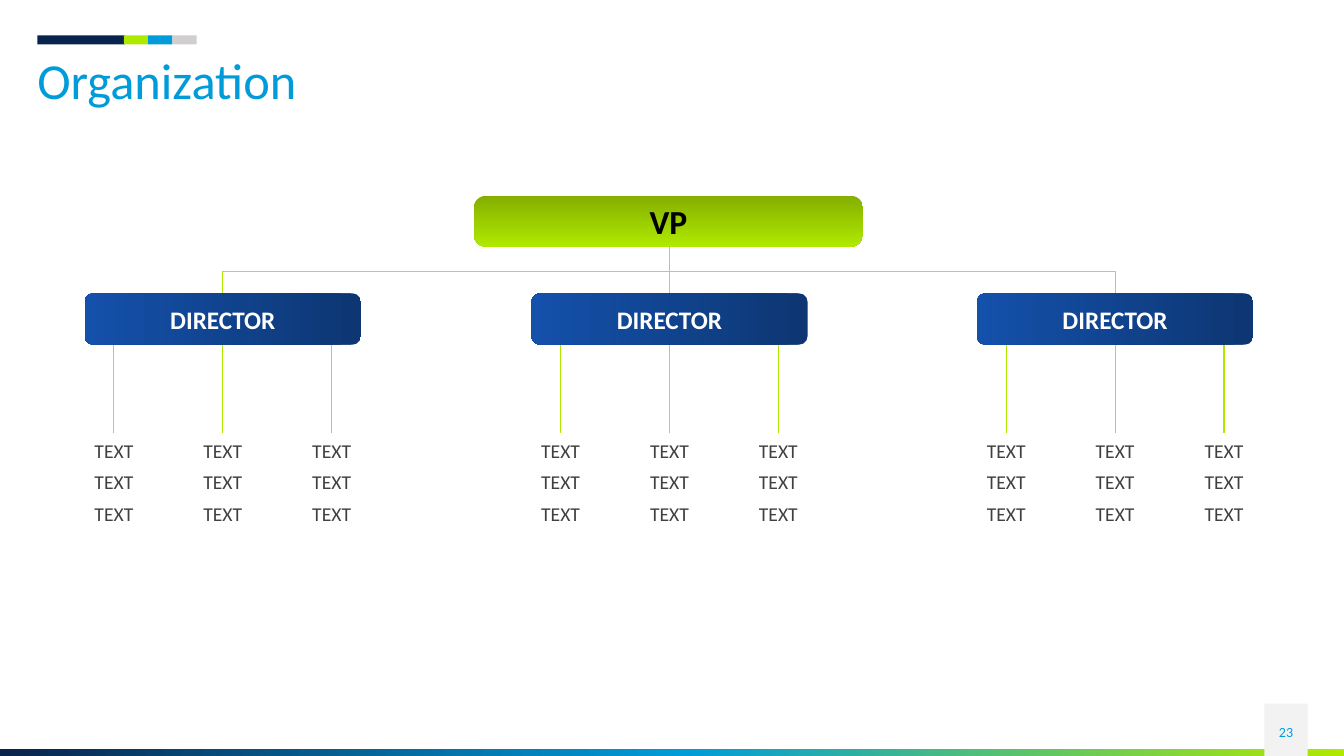
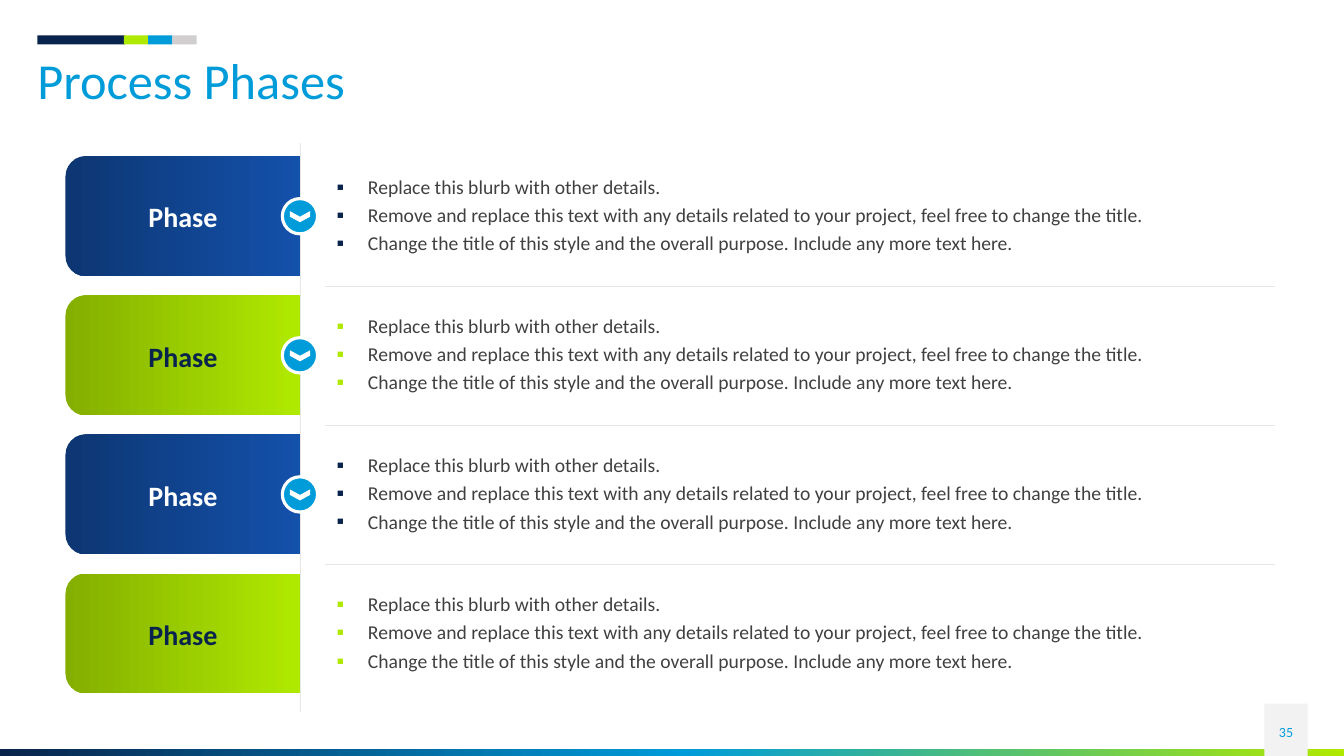
"""Build an organization chart slide and a process phases slide."""
from copy import deepcopy
from dataclasses import dataclass

from lxml import etree
from pptx import Presentation
from pptx import util as u
from pptx.dml.color import RGBColor
from pptx.enum import shapes, text
from pptx.oxml import ns

FONT = "Calibri"
NAVY, LIME, SKY, GRAY = "09244C", "B0E900", "009CDA", "D0CECE"
WHITE, BLACK, BODY, RULE, PALE = "FFFFFF", "000000", "404040", "E7E6E6", "F2F2F2"
BLUE_FADE = ((0, "0D3672"), (1, "1451AB"))
LIME_FADE = ((0, "84AF00"), (1, LIME))
FOOTER_FADE = ((0, NAVY), (0.51, SKY), (1, LIME))
KIND = shapes.MSO_SHAPE
LEFT, CENTER = text.PP_ALIGN.LEFT, text.PP_ALIGN.CENTER
TOP, MIDDLE = text.MSO_ANCHOR.TOP, text.MSO_ANCHOR.MIDDLE


@dataclass(frozen=True)
class Box:
    """A rectangle in inches."""
    left: float
    top: float
    width: float
    height: float

    def lengths(self) -> list:
        """Return the four sides as lengths."""
        return [u.Inches(side) for side in (self.left, self.top, self.width, self.height)]


@dataclass(frozen=True)
class Style:
    """The look of one block of text."""
    size: float
    color: str
    bold: bool = False
    align: int = CENTER
    anchor: int = MIDDLE
    inset: tuple = (0, 0)
    line: float = 1.0
    before: float = 0
    after: float = 0
    wrap: bool = True


@dataclass(frozen=True)
class Phase:
    """The colours of one process phase."""
    fade: tuple
    label: str
    bullet: str


TITLE = Style(36, SKY, align=LEFT, anchor=TOP, line=0.9)
PAGE_NUMBER = Style(10, SKY, inset=(0.1, 0.05))
VP = Style(24, BLACK, bold=True)
DIRECTOR = Style(18, WHITE, bold=True, inset=(0.12, 0.08))
MEMBERS = Style(14, BODY, anchor=TOP, inset=(0.1, 0.05), after=6)
DETAILS = Style(14, BODY, align=LEFT, inset=(0.12, 0.08), line=0.9, before=2, after=3)

ACCENTS = ((0.37, 0.87, NAVY), (1.23, 0.24, LIME), (1.47, 0.24, SKY), (1.71, 0.24, GRAY))
DIRECTOR_CENTERS = (2.21, 6.64, 11.06)
MEMBER_STEP = 1.08
BLUE_PHASE = Phase(BLUE_FADE, WHITE, NAVY)
LIME_PHASE = Phase(LIME_FADE, NAVY, LIME)
PHASES = (BLUE_PHASE, LIME_PHASE, BLUE_PHASE, LIME_PHASE)
PHASE_TOP, PHASE_STEP, PHASE_HEIGHT = 1.55, 1.38, 1.19
BLURB = "\n".join((
    "Replace this blurb with other details.",
    "Remove and replace this text with any details related to your project, "
    "feel free to change the title.",
    "Change the title of this style and the overall purpose. Include any more text here.",
))


def rgb(color: str) -> RGBColor:
    """Turn a hex string into a colour."""
    return RGBColor.from_string(color)


def write(text_frame, words: str, style: Style) -> None:
    """Fill a text frame with words in one style."""
    text_frame.text = words
    text_frame.word_wrap = style.wrap
    text_frame.vertical_anchor = style.anchor
    across, down = (u.Inches(inset) for inset in style.inset)
    text_frame.margin_left = text_frame.margin_right = across
    text_frame.margin_top = text_frame.margin_bottom = down
    for paragraph in text_frame.paragraphs:
        paragraph.alignment = style.align
        paragraph.line_spacing = style.line
        paragraph.space_before = u.Pt(style.before)
        paragraph.space_after = u.Pt(style.after)
        for run in paragraph.runs:
            run.font.name = FONT
            run.font.size = u.Pt(style.size)
            run.font.bold = style.bold
            run.font.color.rgb = rgb(style.color)


def add_text(slide, box: Box, words: str, style: Style):
    """Add a text box and return its text frame."""
    text_frame = slide.shapes.add_textbox(*box.lengths()).text_frame
    write(text_frame, words, style)
    return text_frame


def add_bullets(text_frame, color: str) -> None:
    """Give every paragraph a small square bullet."""
    indent = u.Inches(0.31)
    for paragraph in text_frame.paragraphs:
        properties = paragraph._p.get_or_add_pPr()
        properties.set("marL", str(indent))
        properties.set("indent", str(-indent))
        bullet_color = etree.SubElement(properties, ns.qn("a:buClr"))
        etree.SubElement(bullet_color, ns.qn("a:srgbClr"), val=color)
        etree.SubElement(properties, ns.qn("a:buSzPct"), val="110000")
        etree.SubElement(properties, ns.qn("a:buFont"), typeface="Arial")
        etree.SubElement(properties, ns.qn("a:buChar"), char="▪")


def add_shape(slide, kind: KIND, box: Box, color: str = WHITE, rotation: float = 0):
    """Add a flat preset shape without an outline."""
    shape = slide.shapes.add_shape(kind, *box.lengths())
    shape.shadow.inherit = False
    shape.rotation = rotation
    shape.fill.solid()
    shape.fill.fore_color.rgb = rgb(color)
    shape.line.fill.background()
    return shape


def fade(shape, stops: tuple, clockwise: float = 0) -> None:
    """Fill a shape with a linear gradient."""
    shape.fill.gradient()
    shape.fill.gradient_angle = (360 - clockwise) % 360
    stop_list = shape.element.spPr.find(".//" + ns.qn("a:gsLst"))
    while len(stop_list) < len(stops):
        stop_list.append(deepcopy(stop_list[0]))
    for gradient_stop, (position, color) in zip(shape.fill.gradient_stops, stops):
        gradient_stop.position = position
        gradient_stop.color.rgb = rgb(color)


def add_line(slide, start: tuple, end: tuple, color: str, width: float,
             kind: shapes.MSO_CONNECTOR = shapes.MSO_CONNECTOR.STRAIGHT):
    """Add a connector without a shadow."""
    ends = (u.Inches(length) for length in (*start, *end))
    connector = slide.shapes.add_connector(kind, *ends)
    connector.line.color.rgb = rgb(color)
    connector.line.width = u.Pt(width)
    etree.SubElement(connector.element.spPr, ns.qn("a:effectLst"))
    return connector


def add_branch(slide, start: tuple, end: tuple) -> None:
    """Add an elbow that runs down, across and down again."""
    across, down = end[0] - start[0], end[1] - start[1]
    middle_x, middle_y = (start[0] + end[0]) / 2, (start[1] + end[1]) / 2
    side = down / 2 if across > 0 else -down / 2
    connector = add_line(slide, (middle_x + side, middle_y - abs(across) / 2),
                         (middle_x - side, middle_y + abs(across) / 2),
                         LIME, 0.75, shapes.MSO_CONNECTOR.ELBOW)
    turn = 270 if across > 0 else 90
    connector.element.spPr.find(ns.qn("a:xfrm")).set("rot", str(turn * 60000))


def add_slide(presentation, title: str, number: int):
    """Add a slide with the shared bands, title and page number."""
    slide = presentation.slides.add_slide(presentation.slide_layouts[6])
    fade(add_shape(slide, KIND.RECTANGLE, Box(0, 7.43, 13.33, 0.07)), FOOTER_FADE)
    add_shape(slide, KIND.RECTANGLE, Box(12.54, 6.98, 0.43, 0.52), PALE)
    for left, width, color in ACCENTS:
        add_shape(slide, KIND.RECTANGLE, Box(left, 0.35, width, 0.09), color)
    add_text(slide, Box(0.37, 0.56, 12.6, 0.55), title, TITLE)
    add_text(slide, Box(12.54, 7.06, 0.43, 0.4), str(number), PAGE_NUMBER)
    return slide


def build_organization(presentation) -> None:
    """Draw the VP, the directors and their teams."""
    slide = add_slide(presentation, "Organization", 23)
    vp = add_shape(slide, KIND.ROUNDED_RECTANGLE, Box(4.7, 1.94, 3.86, 0.51))
    vp.adjustments[0] = 0.25
    fade(vp, LIME_FADE, 90)
    write(vp.text_frame, "VP", VP)
    trunk = (DIRECTOR_CENTERS[1], 2.45)
    add_line(slide, trunk, (trunk[0], 2.94), LIME, 0.5)
    for center in (DIRECTOR_CENTERS[0], DIRECTOR_CENTERS[2]):
        add_branch(slide, trunk, (center, 2.94))
    for center in DIRECTOR_CENTERS:
        for offset in (-MEMBER_STEP, 0, MEMBER_STEP):
            member = center + offset
            add_line(slide, (member, 3.38), (member, 4.3), LIME, 0.75)
            add_text(slide, Box(member - 0.46, 4.3, 0.92, 1.01),
                     "\n".join(["TEXT"] * 3), MEMBERS)
        director = add_shape(slide, KIND.ROUNDED_RECTANGLE,
                             Box(center - 1.37, 2.91, 2.74, 0.51))
        fade(director, BLUE_FADE, 180)
        write(director.text_frame, "DIRECTOR", DIRECTOR)


def build_phases(presentation) -> None:
    """Draw four phases with their details and the marks between them."""
    slide = add_slide(presentation, "Process Phases", 35)
    tops = [PHASE_TOP + PHASE_STEP * index for index in range(len(PHASES))]
    for phase, top in zip(PHASES, tops):
        details = add_text(slide, Box(3.22, top, 9.44, PHASE_HEIGHT), BLURB, DETAILS)
        add_bullets(details, phase.bullet)
        tab = add_shape(slide, KIND.ROUND_2_SAME_RECTANGLE,
                        Box(1.22, top - 0.57, PHASE_HEIGHT, 2.33), rotation=270)
        fade(tab, phase.fade, 90)
        label = Style(20, phase.label, bold=True, before=3, after=3, wrap=False)
        add_text(slide, Box(1.47, top + 0.43, 0.69, 0.34), "Phase", label)
    add_line(slide, (2.98, 1.42), (2.98, 7.06), RULE, 1)
    for top in tops[:-1]:
        add_line(slide, (12.65, top + 1.29), (3.22, top + 1.29), RULE, 1)
        circle = add_shape(slide, KIND.OVAL, Box(2.8, top + 0.42, 0.35, 0.35), SKY)
        circle.line.color.rgb = rgb(WHITE)
        circle.line.width = u.Pt(2.25)
        add_shape(slide, KIND.CHEVRON, Box(2.92, top + 0.5, 0.11, 0.2), rotation=90)


def main() -> None:
    """Build and save the presentation."""
    presentation = Presentation()
    presentation.slide_width, presentation.slide_height = u.Inches(13.33), u.Inches(7.5)
    build_organization(presentation)
    build_phases(presentation)
    presentation.save("out.pptx")


main()
